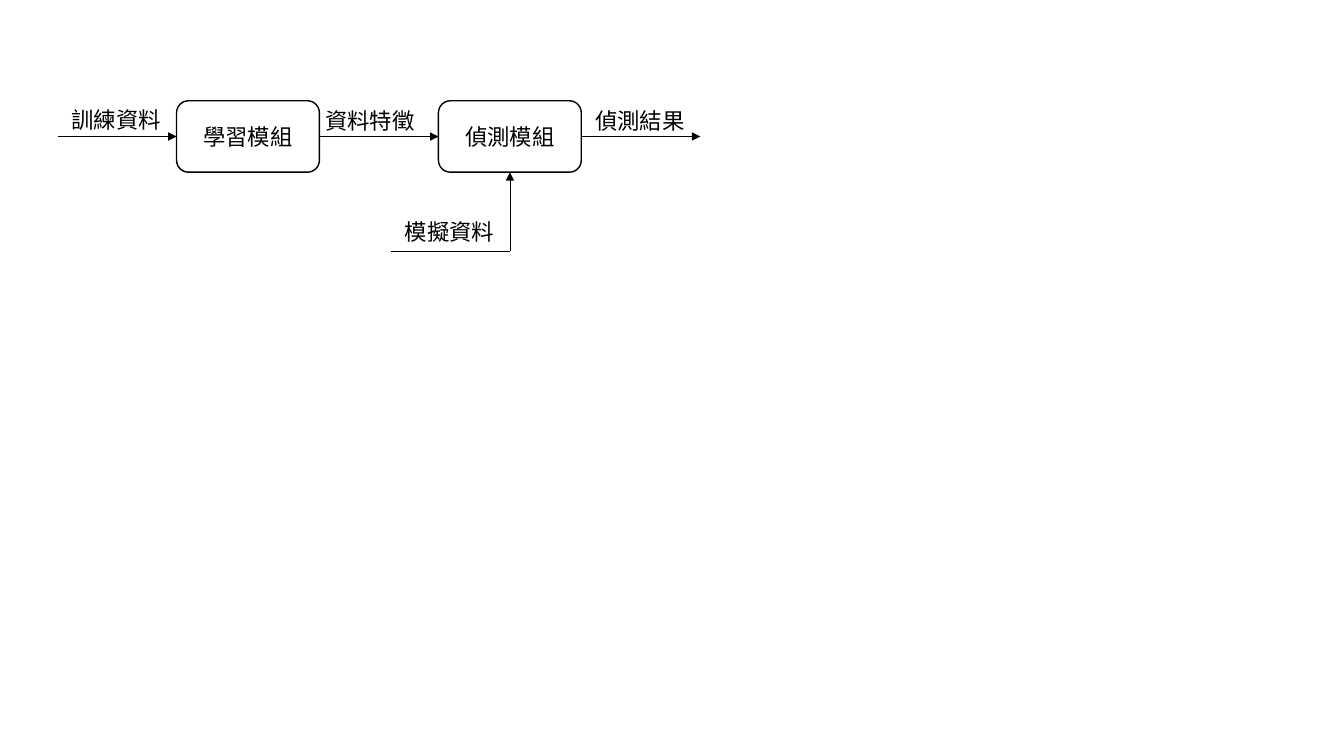
from dataclasses import dataclass
from typing import Optional

from lxml.etree import SubElement
from pptx import Presentation
from pptx.dml.color import RGBColor
from pptx.enum.shapes import MSO_CONNECTOR, MSO_SHAPE
from pptx.enum.text import MSO_ANCHOR, MSO_AUTO_SIZE, PP_ALIGN
from pptx.oxml.ns import qn
from pptx.util import Cm, Pt

FONT = "Noto Sans CJK SC"
BLACK, WHITE = "000000", "FFFFFF"

# Layout in centimetres
MODULE_WIDTH, MODULE_HEIGHT = 3.6, 1.8
ARROW_LENGTH = 3.0
LABEL_WIDTH, LABEL_HEIGHT = 2.8, 0.94
MODULE_TOP = 2.54
FLOW_Y = MODULE_TOP + MODULE_HEIGHT / 2
LEARNING_LEFT = 4.45
DETECTION_LEFT = LEARNING_LEFT + MODULE_WIDTH + ARROW_LENGTH
DETECTION_RIGHT = DETECTION_LEFT + MODULE_WIDTH
DETECTION_CENTER = DETECTION_LEFT + MODULE_WIDTH / 2
SIMULATION_Y = 6.33
SIMULATION_LEFT = DETECTION_CENTER - ARROW_LENGTH

# Connection sites of a module
LEFT, BOTTOM, RIGHT = 1, 2, 3


@dataclass(frozen=True)
class Module:
    text: str
    left: float


@dataclass(frozen=True)
class Label:
    text: str
    left: float
    top: float


@dataclass(frozen=True)
class Flow:
    start: tuple[float, float]
    end: tuple[float, float]
    source: Optional[tuple[str, int]] = None
    target: Optional[tuple[str, int]] = None
    arrow: bool = True


MODULES = [Module("學習模組", LEARNING_LEFT), Module("偵測模組", DETECTION_LEFT)]

FLOWS = [
    Flow((LEARNING_LEFT - ARROW_LENGTH, FLOW_Y), (LEARNING_LEFT, FLOW_Y),
         target=("學習模組", LEFT)),
    Flow((LEARNING_LEFT + MODULE_WIDTH, FLOW_Y), (DETECTION_LEFT, FLOW_Y),
         source=("學習模組", RIGHT), target=("偵測模組", LEFT)),
    Flow((DETECTION_RIGHT, FLOW_Y), (DETECTION_RIGHT + ARROW_LENGTH, FLOW_Y),
         source=("偵測模組", RIGHT)),
    Flow((SIMULATION_LEFT, SIMULATION_Y), (DETECTION_CENTER, SIMULATION_Y), arrow=False),
    Flow((DETECTION_CENTER, SIMULATION_Y), (DETECTION_CENTER, MODULE_TOP + MODULE_HEIGHT),
         target=("偵測模組", BOTTOM)),
]

LABELS = [
    Label("訓練資料", 1.55, 2.54),
    Label("資料特徵", 7.95, 2.57),
    Label("偵測結果", 14.75, 2.57),
    Label("模擬資料", 9.95, 5.38),
]


def color(value: str) -> RGBColor:
    return RGBColor.from_string(value)


def write_text(shape, text: str, alignment: PP_ALIGN) -> None:
    shape.text_frame.text = text
    paragraph = shape.text_frame.paragraphs[0]
    paragraph.alignment = alignment
    font = paragraph.runs[0].font
    font.size = Pt(16)
    font.color.rgb = color(BLACK)
    font.name = FONT
    # The East Asian typeface sets the Chinese glyphs
    SubElement(paragraph.runs[0]._r.get_or_add_rPr(), qn("a:ea"), typeface=FONT)


def draw_module(slide, module: Module):
    shape = slide.shapes.add_shape(
        MSO_SHAPE.FLOWCHART_ALTERNATE_PROCESS, Cm(module.left), Cm(MODULE_TOP),
        Cm(MODULE_WIDTH), Cm(MODULE_HEIGHT))
    shape.shadow.inherit = False
    shape.fill.solid()
    shape.fill.fore_color.rgb = color(WHITE)
    shape.line.color.rgb = color(BLACK)
    shape.line.width = Pt(1)
    write_text(shape, module.text, PP_ALIGN.CENTER)
    shape.text_frame.vertical_anchor = MSO_ANCHOR.MIDDLE
    return shape


def draw_flow(slide, flow: Flow, modules: dict) -> None:
    connector = slide.shapes.add_connector(
        MSO_CONNECTOR.STRAIGHT, *(Cm(value) for value in flow.start + flow.end))
    if flow.source:
        name, site = flow.source
        connector.begin_connect(modules[name], site)
    if flow.target:
        name, site = flow.target
        connector.end_connect(modules[name], site)
    connector.line.color.rgb = color(BLACK)
    connector.line.width = Pt(0.5)
    if flow.arrow:
        SubElement(connector.line._get_or_add_ln(), qn("a:tailEnd"), type="triangle")
    SubElement(connector._element.spPr, qn("a:effectLst"))


def draw_label(slide, label: Label) -> None:
    box = slide.shapes.add_textbox(
        Cm(label.left), Cm(label.top), Cm(LABEL_WIDTH), Cm(LABEL_HEIGHT))
    box.text_frame.word_wrap = False
    box.text_frame.auto_size = MSO_AUTO_SIZE.SHAPE_TO_FIT_TEXT
    write_text(box, label.text, PP_ALIGN.LEFT)


def main() -> None:
    presentation = Presentation()
    presentation.slide_width = Cm(33.87)
    presentation.slide_height = Cm(19.05)
    slide = presentation.slides.add_slide(presentation.slide_layouts[6])

    # Modules, the flows between them, and the flow labels
    modules = {module.text: draw_module(slide, module) for module in MODULES}
    for flow in FLOWS:
        draw_flow(slide, flow, modules)
    for label in LABELS:
        draw_label(slide, label)

    presentation.save("out.pptx")


if __name__ == "__main__":
    main()
